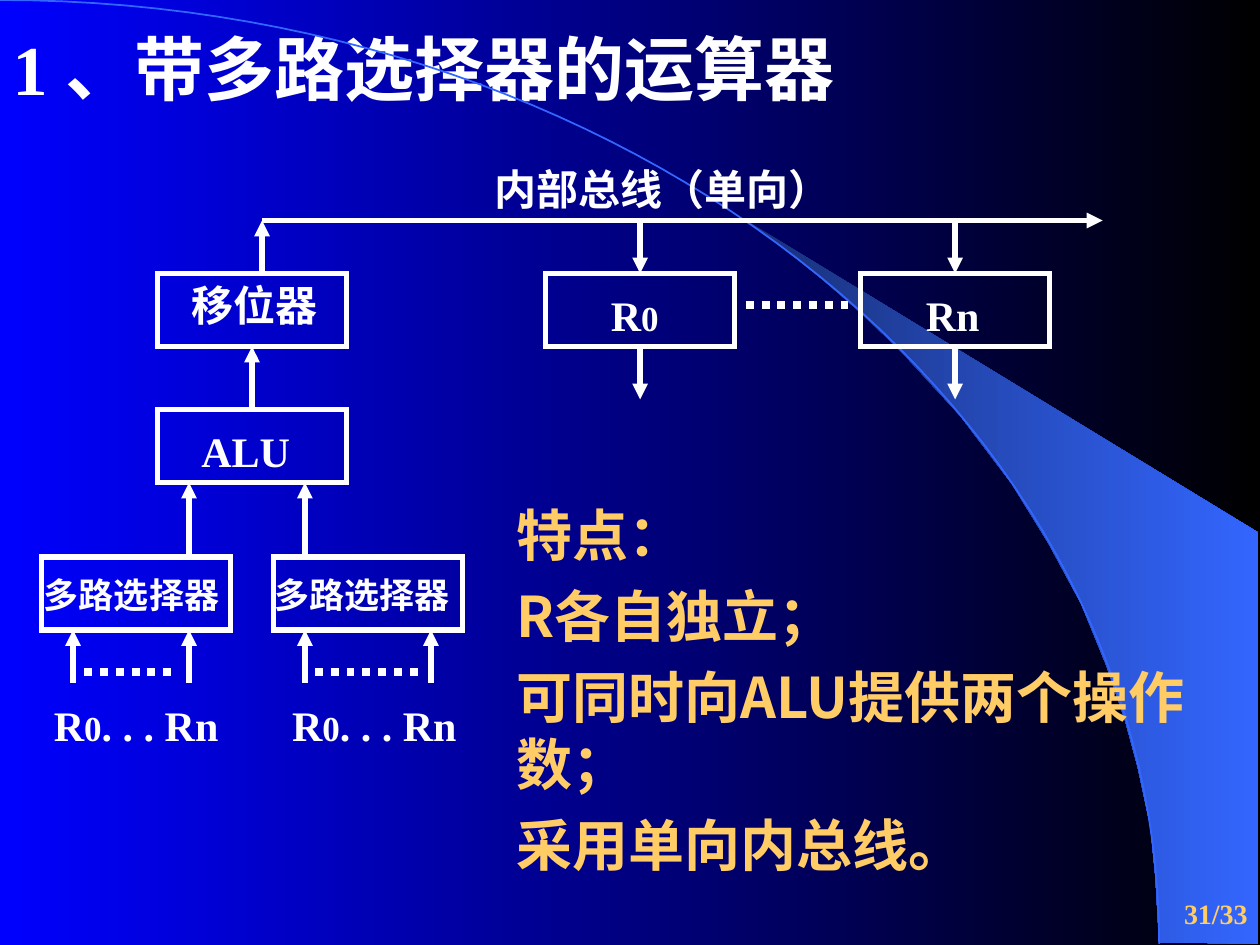
from typing import NamedTuple

from lxml.etree import SubElement
from pptx import Presentation
from pptx.dml.color import RGBColor
from pptx.enum.dml import MSO_LINE
from pptx.enum.shapes import MSO_CONNECTOR, MSO_SHAPE
from pptx.enum.text import MSO_ANCHOR, MSO_AUTO_SIZE, PP_ALIGN
from pptx.oxml.ns import qn
from pptx.util import Inches, Pt

WHITE, GOLD, BLUE = "FFFFFF", "FFCC66", "3366FF"
SERIF, SANS = "Times New Roman", "Noto Sans CJK SC"
BOX_W, BOX_H = 1.5, 0.58


class Box(NamedTuple):
    x: float
    y: float


class Line(NamedTuple):
    x1: float
    y1: float
    x2: float
    y2: float


class Label(NamedTuple):
    x: float
    y: float
    w: float
    h: float
    runs: list  # (text, size) pairs


def rgb(color: str) -> RGBColor:
    return RGBColor.from_string(color)


def set_gradient(fill, start: str, end: str) -> None:
    fill.gradient()
    fill.gradient_angle = 0
    for stop, color, position in zip(fill.gradient_stops, (start, end), (0, 1)):
        stop.color.rgb = rgb(color)
        stop.position = position


def set_font(p, size: float, color: str = WHITE, name: str = SERIF) -> None:
    font = p.font
    font.size, font.bold, font.name = Pt(size), True, name
    font.color.rgb = rgb(color)
    latin = p._p.find(".//" + qn("a:latin"))
    latin.addnext(latin.makeelement(qn("a:ea"), {"typeface": SANS}))


def set_frame(tf, anchor=MSO_ANCHOR.TOP) -> None:
    tf.word_wrap = True
    tf.auto_size = MSO_AUTO_SIZE.NONE
    tf.vertical_anchor = anchor


def add_text(s, x: float, y: float, w: float, h: float, anchor=MSO_ANCHOR.TOP):
    sp = s.shapes.add_textbox(Inches(x), Inches(y), Inches(w), Inches(h))
    set_frame(sp.text_frame, anchor)
    return sp.text_frame


def add_label(s, label: Label) -> None:
    p = add_text(s, *label[:4]).paragraphs[0]
    sizes = {size for _, size in label.runs}
    set_font(p, max(sizes))
    for text, size in label.runs:
        r = p.add_run()
        r.text = text
        if len(sizes) > 1:
            r.font.size = Pt(size)


def add_box(s, box: Box) -> None:
    sp = s.shapes.add_shape(MSO_SHAPE.RECTANGLE, Inches(box.x), Inches(box.y),
                            Inches(BOX_W), Inches(BOX_H))
    sp.shadow.inherit = False
    sp.fill.background()
    sp.line.color.rgb = rgb(WHITE)
    sp.line.width = Pt(3)
    SubElement(sp.line._get_or_add_ln(), qn("a:miter"), lim="800000")


def add_line(s, line: Line, dotted: bool = False) -> None:
    c = s.shapes.add_connector(MSO_CONNECTOR.STRAIGHT, *map(Inches, line))
    c.line.color.rgb = rgb(WHITE)
    c.line.width = Pt(4.5 if dotted else 3)
    if dotted:
        c.line.dash_style = MSO_LINE.ROUND_DOT
    else:
        SubElement(c.line._get_or_add_ln(), qn("a:tailEnd"), type="triangle")
    SubElement(c._element.spPr, qn("a:effectLst"))


def add_outline(s, points: list, close: bool):
    start, *rest = [(Inches(x), Inches(y)) for x, y in points]
    builder = s.shapes.build_freeform(*start)
    builder.add_line_segments(rest, close=close)
    sp = builder.convert_to_shape()
    sp.shadow.inherit = False
    return sp


def arc_point(t: float) -> tuple:
    u = 1 - t
    return (3 * u * u * t * 5.08 + 3 * u * t * t * 9.2 + t ** 3 * 9.2,
            3 * u * t * t * 3.35 + t ** 3 * 7.49)


prs = Presentation()
prs.slide_width, prs.slide_height = Inches(10), Inches(7.5)
s = prs.slides.add_slide(prs.slide_layouts[5])

# Background: gradient, fan and arc
set_gradient(s.background.fill, "0000FF", "000000")
FAN = [(9.2, 7.48), (9.99, 7.49), (9.99, 4.23), (5.89, 1.73), (6.24, 1.99),
       (6.53, 2.22), (6.85, 2.5), (7.16, 2.8), (7.62, 3.3), (8.03, 3.84),
       (8.32, 4.31), (8.58, 4.79), (8.78, 5.28), (8.93, 5.72), (9.03, 6.09),
       (9.13, 6.56), (9.17, 6.96)]
fan = add_outline(s, FAN, close=True)
set_gradient(fan.fill, "182F76", BLUE)
fan.line.fill.background()
arc = add_outline(s, [arc_point(i / 60) for i in range(61)], close=False)
arc.fill.background()
arc.line.color.rgb = rgb(BLUE)
arc.line.width = Pt(1)

# Title
title = s.shapes.title
title.left, title.top = Inches(0), Inches(0.15)
title.width, title.height = Inches(7.75), Inches(0.77)
set_frame(title.text_frame)
p = title.text_frame.paragraphs[0]
p.text = "1 、带多路选择器的运算器"
p.alignment = PP_ALIGN.LEFT
set_font(p, 40)

# Units: shifter, ALU, two multiplexers, two registers
BOXES = [Box(1.25, 2.17), Box(1.25, 3.25), Box(2.17, 4.42), Box(0.33, 4.42),
         Box(4.33, 2.17), Box(6.83, 2.17)]
for box in BOXES:
    add_box(s, box)

# Bus, then arrows between units
add_line(s, Line(2.08, 1.75, 8.75, 1.75))
add_line(s, Line(2.08, 2.17, 2.08, 1.75))
add_line(s, Line(2, 3.25, 2, 2.75))
for x in (1.5, 2.42):
    add_line(s, Line(x, 4.42, x, 3.83))
for x in (0.58, 1.5, 2.42, 3.42):
    add_line(s, Line(x, 5.42, x, 5))
for x in (5.08, 7.58):
    add_line(s, Line(x, 1.75, x, 2.17))
    add_line(s, Line(x, 2.75, x, 3.17))

# Dotted continuations
for x1, x2, y in ((0.67, 1.42, 5.33), (2.5, 3.33, 5.33), (5.92, 6.75, 2.42)):
    add_line(s, Line(x1, y, x2, y), dotted=True)

# Diagram labels
SOURCES = [("R", 24), ("0", 20), (". . . Rn", 24)]
LABELS = [
    Label(1.42, 2.17, 1.67, 0.5, [("移位器", 24)]),
    Label(1.5, 3.33, 1.67, 0.5, [("ALU", 24)]),
    Label(2.08, 4.5, 2.25, 0.44, [("多路选择器", 20)]),
    Label(0.25, 4.5, 2.25, 0.44, [("多路选择器", 20)]),
    Label(4.75, 2.25, 0.92, 0.5, [("R", 24), ("0", 20)]),
    Label(7.25, 2.25, 0.92, 0.5, [("Rn", 24)]),
    Label(0.33, 5.5, 1.8, 0.5, SOURCES),
    Label(2.22, 5.5, 1.8, 0.5, SOURCES),
    Label(3.83, 1.25, 3, 0.5, [("内部总线（单向）", 24)]),
]
for label in LABELS:
    add_label(s, label)

# Features
FEATURES = ["特点：", "R各自独立；", "可同时向ALU提供两个操作数；", "采用单向内总线。"]
tf = add_text(s, 4, 3.92, 5.9, 3.1)
for i, text in enumerate(FEATURES):
    p = tf.add_paragraph() if i else tf.paragraphs[0]
    p.text = text
    p.space_before = Pt(8 if i else 0)
    set_font(p, 32, GOLD, SANS)

# Page number
p = add_text(s, 7.52, 7, 2.48, 0.5, MSO_ANCHOR.MIDDLE).paragraphs[0]
p.text = "31/33"
p.alignment = PP_ALIGN.RIGHT
set_font(p, 16, GOLD)

prs.save("out.pptx")
